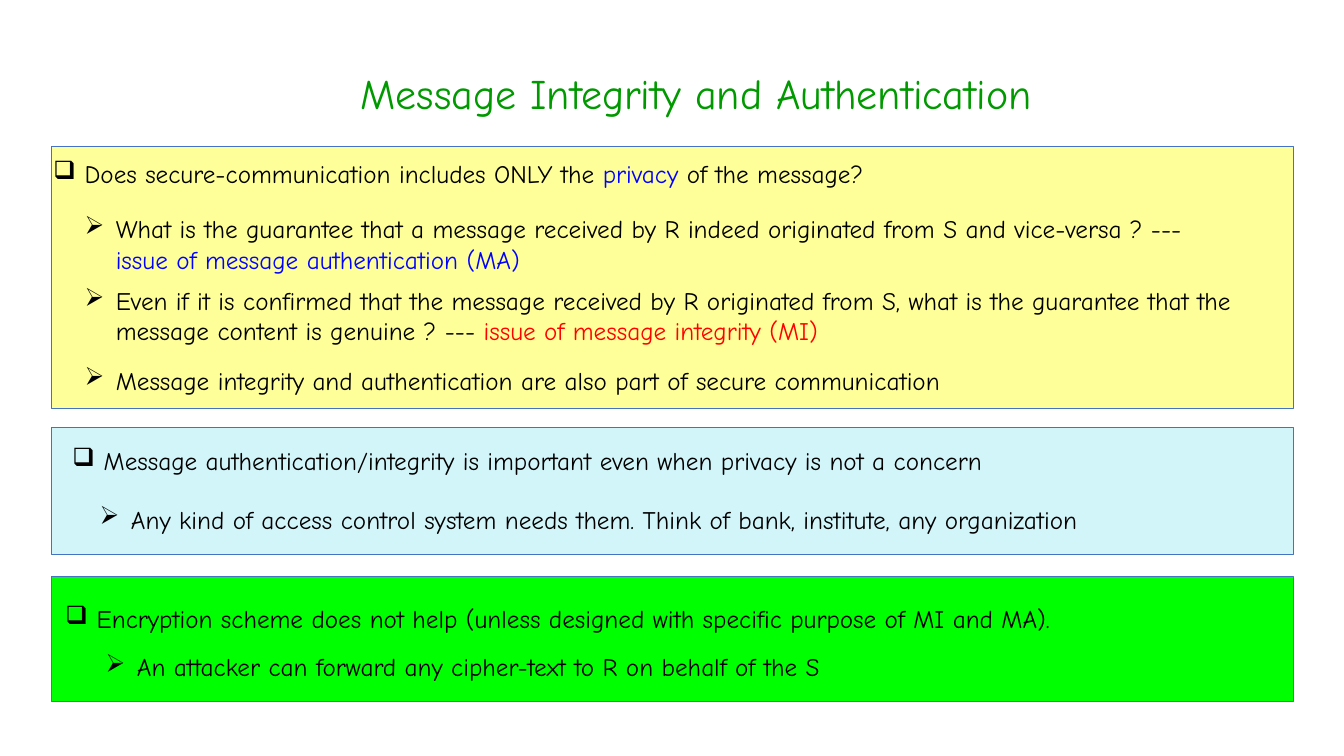
from dataclasses import dataclass

from lxml.etree import SubElement
from pptx import Presentation
from pptx.dml.color import RGBColor as Rgb
from pptx.enum.shapes import MSO_SHAPE as Shape
from pptx.enum.text import MSO_ANCHOR as Anchor, MSO_AUTO_SIZE as Fit, PP_ALIGN as Align
from pptx.oxml.ns import qn
from pptx.util import Inches, Pt


@dataclass(frozen=True)
class Theme:
    font: str = "Comic Neue"
    head: int = 30
    body: int = 18
    edge: float = 0.5
    green: str = "009900"
    black: str = "000000"
    blue: str = "0000FF"
    red: str = "FF0000"
    line: str = "4472C4"
    lemon: str = "FFFF99"
    sky: str = "D2F5FA"
    lime: str = "00FF00"


class Page:
    """Holds the theme and the slide; lengths are percent of the slide's size."""

    def __init__(self, deck, theme):
        self.theme = theme
        self.wide, self.high = deck.slide_width, deck.slide_height
        self.slide = deck.slides.add_slide(deck.slide_layouts[5])

    def area(self, left, top, width, height):
        return (round(left * self.wide / 100), round(top * self.high / 100),
                round(width * self.wide / 100), round(height * self.high / 100))

    def run(self, para, text, size, color):
        run = para.add_run()
        run.text = text
        run.font.name = self.theme.font
        run.font.size = Pt(size)
        run.font.color.rgb = Rgb.from_string(color)

    def title(self, text, *box):
        shape = self.slide.shapes.title
        shape.left, shape.top, shape.width, shape.height = self.area(*box)
        frame = shape.text_frame
        frame.auto_size = Fit.NONE
        frame.vertical_anchor = Anchor.TOP
        para = frame.paragraphs[0]
        para.alignment = Align.CENTER
        self.run(para, text, self.theme.head, self.theme.green)

    def panel(self, fill, *box):
        shape = self.slide.shapes.add_shape(Shape.RECTANGLE, *self.area(*box))
        shape.shadow.inherit = False
        shape.fill.solid()
        shape.fill.fore_color.rgb = Rgb.from_string(fill)
        shape.line.color.rgb = Rgb.from_string(self.theme.line)
        shape.line.width = Pt(self.theme.edge)

    def point(self, mark, parts, *box):
        frame = self.slide.shapes.add_textbox(*self.area(*box)).text_frame
        frame.word_wrap = True
        frame.auto_size = Fit.SHAPE_TO_FIT_TEXT
        para = frame.paragraphs[0]
        # Hanging bullet
        props = para._p.get_or_add_pPr()
        props.set("marL", str(Inches(0.31)))
        props.set("indent", str(-Inches(0.31)))
        SubElement(props, qn("a:buChar")).set("char", mark)
        for text, color in parts:
            self.run(para, text, self.theme.body, color)


def main():
    deck = Presentation()
    deck.slide_width, deck.slide_height = Inches(13.33), Inches(7.5)
    look = Theme()
    page = Page(deck, look)
    box, dart = "❑", "➢"
    one, two = 5.33, 9.47  # heights of one and two lines

    # Title
    page.title("Message Integrity and Authentication", 16.95, 8.27, 69.7, 6.8)

    # Panels: fill, top, height
    for fill, top, high in [
        (look.lemon, 19.33, 34.67),
        (look.sky, 56.53, 16.8),
        (look.lime, 76.27, 16.53),
    ]:
        page.panel(fill, 3.83, top, 92.42, high)

    # Points: mark, left, top, height, coloured parts
    for mark, left, top, high, parts in [
        # What secure communication covers
        (box, 3.23, 20.27, one, [
            ("Does secure-communication includes ONLY the ", look.black),
            ("privacy", look.blue),
            (" of the message?", look.black)]),
        (dart, 5.55, 27.6, two, [
            ("What is the guarantee that a message received by R indeed "
             "originated from S and vice-versa ? --- ", look.black),
            ("issue of message authentication (MA)", look.blue)]),
        (dart, 5.55, 37.07, two, [
            ("Even if it is confirmed that the message received by R originated "
             "from S, what is the guarantee that the message content is "
             "genuine ? --- ", look.black),
            ("issue of message integrity (MI)", look.red)]),
        (dart, 5.55, 47.6, one, [
            ("Message integrity and authentication are also part of secure "
             "communication", look.black)]),
        # Beyond privacy
        (box, 4.65, 58.27, one, [
            ("Message authentication/integrity is important even when privacy "
             "is not a concern", look.black)]),
        (dart, 6.68, 66, one, [
            ("Any kind of access control system needs them. Think of bank, "
             "institute, any organization", look.black)]),
        # Limits of encryption
        (box, 4.13, 79.2, one, [
            ("Encryption scheme does not help (unless designed with specific "
             "purpose of MI and MA).", look.black)]),
        (dart, 7.13, 85.47, one, [
            ("An attacker can forward any cipher-text to R on behalf of the S",
             look.black)]),
    ]:
        page.point(mark, parts, left, top, 87, high)

    deck.save("out.pptx")


if __name__ == "__main__":
    main()
